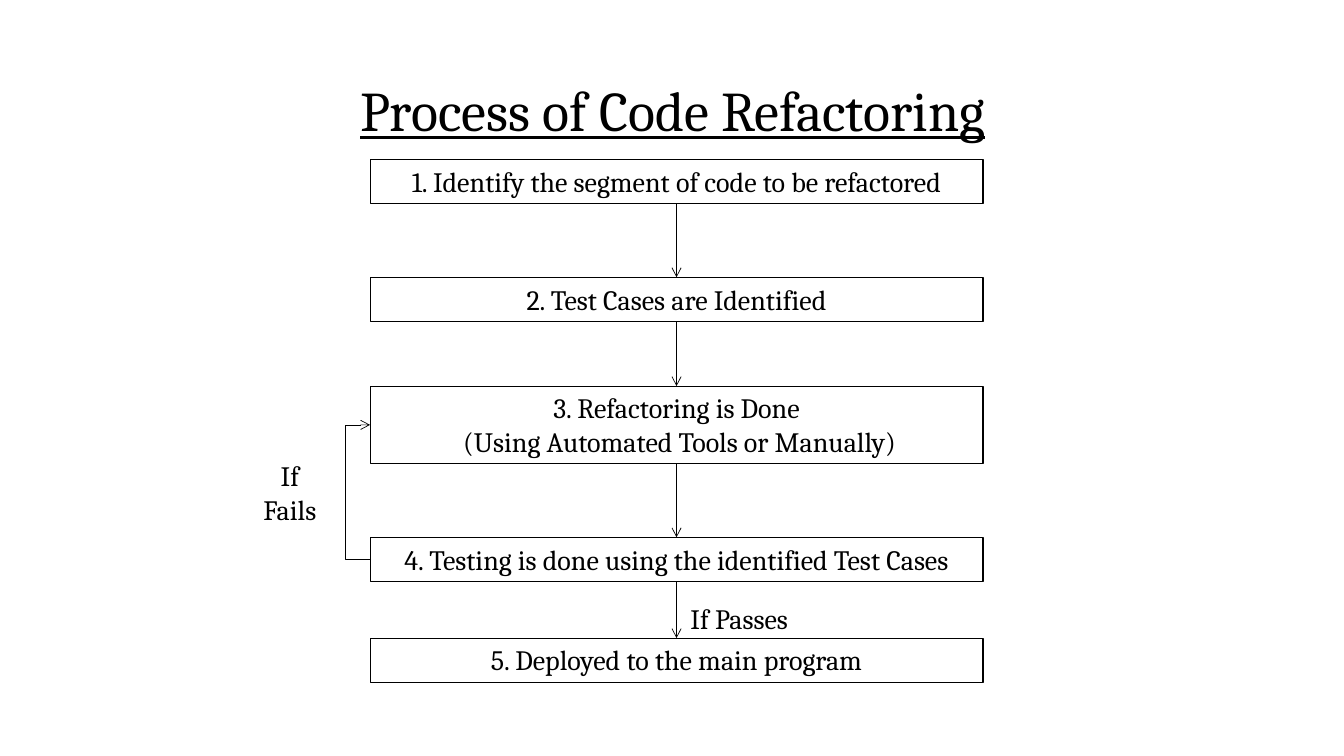
from dataclasses import dataclass

from lxml.etree import SubElement
from pptx import Presentation
from pptx.dml.color import RGBColor as Rgb
from pptx.enum.shapes import MSO_CONNECTOR as Link, MSO_SHAPE as Kind
from pptx.enum.text import MSO_ANCHOR as Anchor, MSO_AUTO_SIZE as Fit, PP_ALIGN as Align
from pptx.oxml.ns import qn
from pptx.shapes.autoshape import Shape
from pptx.shapes.connector import Connector
from pptx.slide import Slide
from pptx.util import Inches, Pt

COLORS = {"ink": "000000"}
INK = Rgb.from_string(COLORS["ink"])
BODY = {"name": "Cambria", "size": Pt(20)}
HEAD = {"name": "Cambria", "size": Pt(40), "underline": True}
LEFT, WIDTH = 3.67, 6.08


@dataclass
class Step:
    text: str
    top: float
    height: float = 0.44


@dataclass
class Label:
    text: str
    left: float
    top: float
    width: float
    height: float
    align: Align = Align.CENTER


STEPS = [
    Step("1. Identify the segment of code to be refactored", 1.58),
    Step("2. Test Cases are Identified", 2.75),
    Step("3. Refactoring is Done\n (Using Automated Tools or Manually)", 3.83, 0.77),
    Step("4. Testing is done using the identified Test Cases", 5.33),
    Step("5. Deployed to the main program", 6.33),
]
TITLE = Label("Process of Code Refactoring", 0.92, 0.4, 11.5, 1.45)
LABELS = [
    Label("If Fails", 2.5, 4.5, 0.75, 0.77),
    Label("If Passes", 6.75, 5.92, 2.33, 0.44, Align.LEFT),
]


def write(shape: Shape, text: str, style: dict, align: Align = Align.CENTER) -> None:
    frame = shape.text_frame
    frame.text = text
    frame.word_wrap = True
    frame.vertical_anchor = Anchor.TOP
    for para in frame.paragraphs:
        para.alignment = align
        for key, value in style.items():
            setattr(para.font, key, value)
        para.font.color.rgb = INK


def add_step(slide: Slide, step: Step) -> Shape:
    box = slide.shapes.add_shape(Kind.RECTANGLE, Inches(LEFT), Inches(step.top),
                                 Inches(WIDTH), Inches(step.height))
    box.shadow.inherit = False
    box.fill.background()
    box.line.color.rgb = INK
    box.line.width = Pt(0.75)
    write(box, step.text, BODY)
    box.text_frame.auto_size = Fit.SHAPE_TO_FIT_TEXT
    return box


def add_label(slide: Slide, label: Label, style: dict) -> Shape:
    box = slide.shapes.add_textbox(Inches(label.left), Inches(label.top),
                                   Inches(label.width), Inches(label.height))
    write(box, label.text, style, label.align)
    return box


def add_arrow(slide: Slide, kind: Link, x1: float, y1: float,
              x2: float, y2: float) -> Connector:
    arrow = slide.shapes.add_connector(kind, Inches(x1), Inches(y1),
                                       Inches(x2), Inches(y2))
    arrow.line.color.rgb = INK
    arrow.line.width = Pt(0.5)
    props = arrow.element.spPr
    SubElement(props.find(qn("a:ln")), qn("a:tailEnd"), type="arrow")
    SubElement(props, qn("a:effectLst"))
    return arrow


def add_loop(slide: Slide, low: Step, high: Step) -> None:
    # Half a turn makes the arrow run upward, bending out to the left
    span, reach = 0.01, 0.26
    loop = add_arrow(slide, Link.ELBOW, LEFT, high.top + high.height / 2,
                     LEFT + span, low.top + low.height / 2)
    props = loop.element.spPr
    props.find(qn("a:xfrm")).set("rot", str(180 * 60000))
    bend = props.find(qn("a:prstGeom")).find(qn("a:avLst"))
    SubElement(bend, qn("a:gd"), name="adj1",
               fmla=f"val {round(reach / span * 100000)}")


def main() -> None:
    deck = Presentation()
    deck.slide_width, deck.slide_height = Inches(13.33), Inches(7.5)
    slide = deck.slides.add_slide(deck.slide_layouts[6])

    # Title
    title = add_label(slide, TITLE, HEAD)
    title.text_frame.vertical_anchor = Anchor.MIDDLE
    title.text_frame.paragraphs[0].line_spacing = 0.9

    # Steps and the arrows between them
    boxes = [add_step(slide, step) for step in STEPS]
    mid = LEFT + WIDTH / 2
    for i, (step, after) in enumerate(zip(STEPS, STEPS[1:])):
        arrow = add_arrow(slide, Link.STRAIGHT, mid, step.top + step.height,
                          mid, after.top)
        arrow.begin_connect(boxes[i], 2)
        arrow.end_connect(boxes[i + 1], 0)

    # Way back from testing to refactoring, and outcome labels
    add_loop(slide, STEPS[3], STEPS[2])
    for label in LABELS:
        box = add_label(slide, label, BODY)
        box.text_frame.auto_size = Fit.SHAPE_TO_FIT_TEXT

    deck.save("out.pptx")


if __name__ == "__main__":
    main()
